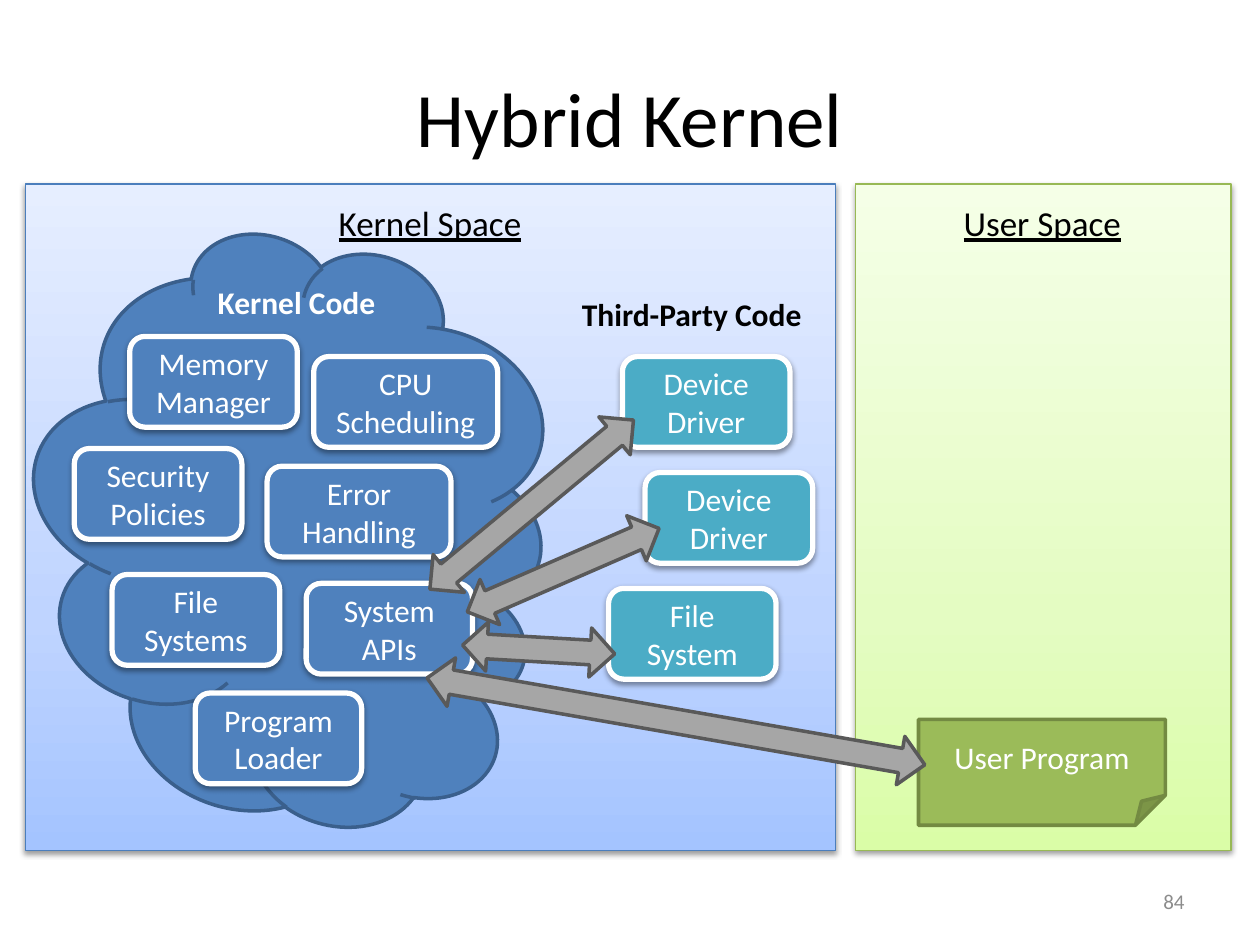
from copy import deepcopy
from lxml.etree import SubElement
from pptx import Presentation
from pptx.dml.color import RGBColor
from pptx.enum.shapes import MSO_SHAPE
from pptx.enum.text import MSO_ANCHOR, PP_ALIGN
from pptx.oxml.ns import qn
from pptx.util import Inches, Pt


def hue(code):
    return RGBColor.from_string(code)


def write(shape, text, size=18, color="FFFFFF", bold=False, under=False,
          align=PP_ALIGN.CENTER, anchor=MSO_ANCHOR.MIDDLE, wrap=True):
    frame = shape.text_frame
    frame.word_wrap = wrap
    frame.vertical_anchor = anchor
    para = frame.paragraphs[0]
    para.alignment = align
    run = para.add_run()
    run.text = text
    font = run.font
    font.name = "Calibri"
    font.size = Pt(size)
    font.bold = bold
    font.underline = under
    font.color.rgb = hue(color)


deck = Presentation()
deck.slide_width = Inches(10)
deck.slide_height = Inches(7.5)
slide = deck.slides.add_slide(deck.slide_layouts[6])

BLUE, TEAL = "4F81BD", "4BACC6"
RECT, ROUND = MSO_SHAPE.RECTANGLE, MSO_SHAPE.ROUNDED_RECTANGLE
LIME = ["DAFDA7", "E4FCC2", "F5FFE7"]
SKY = ["A4C4FF", "BFD4FF", "E6EEFF"]

boxes = [
    ("Memory Manager", 1.03, 2.67, 1.33, BLUE),
    ("CPU Scheduling", 2.49, 2.83, 1.46, BLUE),
    ("Program Loader", 1.55, 5.5, 1.32, BLUE),
    ("Security Policies", 0.59, 3.56, 1.33, BLUE),
    ("Error Handling", 2.12, 3.7, 1.46, BLUE),
    ("System APIs", 2.43, 4.63, 1.32, BLUE),
    ("File Systems", 0.89, 4.56, 1.33, BLUE),
    ("Device Driver", 4.94, 2.83, 1.33, TEAL),
    ("Device Driver", 5.12, 3.75, 1.33, TEAL),
    ("File System", 4.83, 4.67, 1.33, TEAL),
]
arrows = [
    (3.67, 4.96, 1.21, 3.3),
    (3.64, 4.33, 1.66, 336.5),
    (3.17, 3.81, 2.1, 320.3),
    (3.36, 5.53, 4.01, 9.9),
]

parts = [
    (RECT, 6.79, 1.46, 2.98, 5.29, 0, LIME, "98B955", 0.75, ""),
    (RECT, 0.2, 1.46, 6.43, 5.29, 0, SKY, "4B7EBC", 0.75, ""),
    (MSO_SHAPE.CLOUD, 0.04, 2.11, 4.55, 4.17, 106.9, BLUE, "3A5F8C", 2, ""),
]
for text, x, y, w, fill in boxes:
    parts.append((ROUND, x, y, w, 0.72, 0, fill, "FFFFFF", 3, text))
parts.append((MSO_SHAPE.FOLDED_CORNER, 7.29, 5.71, 1.96, 0.84, 0,
              "9BBB59", "738A42", 2, "User Program"))
for x, y, w, turn in arrows:
    parts.append((MSO_SHAPE.LEFT_RIGHT_ARROW, x, y, w, 0.39, turn,
                  "A6A6A6", "595959", 2, ""))

for kind, x, y, w, h, turn, fill, line, width, text in parts:
    shape = slide.shapes.add_shape(kind, Inches(x), Inches(y), Inches(w), Inches(h))
    shape.rotation = turn
    shape.shadow.inherit = False
    shape.line.color.rgb = hue(line)
    shape.line.width = Pt(width)
    if kind == RECT:
        shape.fill.gradient()
        stops = shape._element.spPr.find(".//" + qn("a:gsLst"))
        stops.insert(1, deepcopy(stops[0]))
        shape.fill.gradient_angle = 90
        for stop, code, place in zip(shape.fill.gradient_stops, fill, (0, 0.35, 1)):
            stop.color.rgb = hue(code)
            stop.position = place
    else:
        shape.fill.solid()
        shape.fill.fore_color.rgb = hue(fill)
    if kind in (RECT, ROUND):
        glow = shape._element.spPr.find(qn("a:effectLst"))
        shade = SubElement(glow, qn("a:outerShdw"), blurRad="40000", dist="20000",
                           dir="5400000", rotWithShape="0")
        tint = SubElement(shade, qn("a:srgbClr"), val="000000")
        SubElement(tint, qn("a:alpha"), val="38000")
    if kind == MSO_SHAPE.FOLDED_CORNER:
        guides = shape._element.spPr.find(".//" + qn("a:avLst"))
        SubElement(guides, qn("a:gd"), name="adj", fmla="val 28300")
    if text:
        write(shape, text)

head = dict(size=20, color="000000", under=True, anchor=MSO_ANCHOR.TOP,
            align=PP_ALIGN.LEFT, wrap=False)
label = dict(bold=True, anchor=MSO_ANCHOR.TOP, align=PP_ALIGN.LEFT, wrap=False)
notes = [
    ("Hybrid Kernel", 0.5, 0.3, 9, 1.25, dict(size=44, color="000000")),
    ("84", 7.17, 6.95, 2.33, 0.4, dict(size=12, color="8C8C8C", align=PP_ALIGN.RIGHT)),
    ("User Space", 7.55, 1.55, 1.47, 0.44, head),
    ("Kernel Space", 2.59, 1.55, 1.67, 0.44, head),
    ("Kernel Code", 1.63, 2.2, 1.46, 0.4, label),
    ("Third-Party Code", 4.52, 2.29, 1.96, 0.4, dict(label, color="000000")),
]
for text, x, y, w, h, style in notes:
    box = slide.shapes.add_textbox(Inches(x), Inches(y), Inches(w), Inches(h))
    write(box, text, **style)

deck.save("out.pptx")
